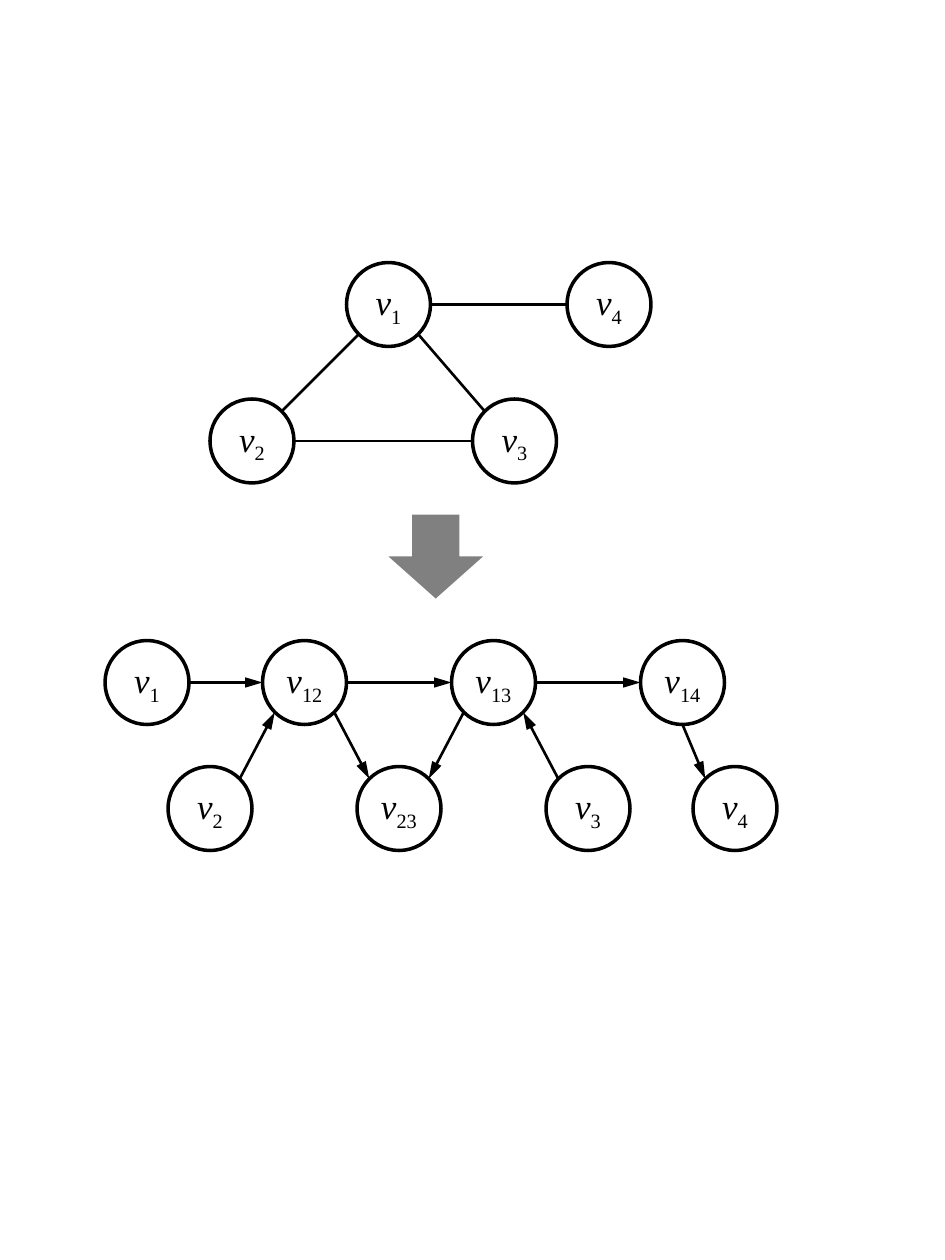
from math import cos, pi, sin

from pptx import Presentation
from pptx.dml.color import RGBColor
from pptx.enum.shapes import MSO_CONNECTOR as Link, MSO_SHAPE as Shape
from pptx.enum.text import MSO_ANCHOR as Anchor, PP_ALIGN as Align
from pptx.oxml.ns import qn
from pptx.util import Inches, Pt
from lxml.etree import SubElement

# Places and sizes count steps of a grid with twelve steps to the inch
# Each node: subscript -> left, top
GRAPH = {"1": (33, 25), "2": (20, 38), "3": (45, 38), "4": (54, 25)}
UPPER, LOWER = 61, 73
ORDER = {
    "1": (10, UPPER), "12": (25, UPPER), "13": (43, UPPER), "14": (61, UPPER),
    "2": (16, LOWER), "23": (34, LOWER), "3": (52, LOWER), "4": (66, LOWER),
}
SIZE = 8
STEP = (37, 49, 9, 8)
# Ellipse sites, counted from the top and turning left
TOP, TOP_L, LEFT, LOW_L, LOW, LOW_R, RIGHT, TOP_R = range(8)
# Each edge: start node, start site, end node, end site
EDGES = [
    ("1", LOW_L, "2", TOP_R), ("1", LOW_R, "3", TOP_L),
    ("2", RIGHT, "3", LEFT), ("1", RIGHT, "4", LEFT),
]
ARROWS = [
    ("1", RIGHT, "12", LEFT), ("12", RIGHT, "13", LEFT), ("13", RIGHT, "14", LEFT),
    ("2", TOP_R, "12", LOW_L), ("12", LOW_R, "23", TOP_L),
    ("13", LOW_L, "23", TOP_R), ("3", TOP_L, "13", LOW_R), ("14", LOW, "4", TOP_L),
]
THEME = {
    "font": "Times New Roman", "text": Pt(20), "sub": "-25000",
    "ink": RGBColor(0, 0, 0), "gray": RGBColor(128, 128, 128),
    "ring": Pt(2), "edge": Pt(1.5),
}


def add_form(slide, kind, *box):
    """Add a plain preset shape on the grid."""
    form = slide.shapes.add_shape(kind, *[Inches(step / 12) for step in box])
    form.shadow.inherit = False
    return form


def add_node(slide, sub, left, top):
    """Draw a ring labelled v with a subscript."""
    node = add_form(slide, Shape.OVAL, left, top, SIZE, SIZE)
    node.fill.background()
    node.line.color.rgb = THEME["ink"]
    node.line.width = THEME["ring"]
    frame = node.text_frame
    frame.word_wrap = False
    frame.vertical_anchor = Anchor.MIDDLE
    para = frame.paragraphs[0]
    para.alignment = Align.CENTER
    for text in ("v", sub):
        run = para.add_run()
        run.text = text
        run.font.name = THEME["font"]
        run.font.size = THEME["text"]
        run.font.color.rgb = THEME["ink"]
        run.font.italic = text == "v"
    node.element.findall(".//" + qn("a:rPr"))[1].set("baseline", THEME["sub"])
    return node


def site_point(node, site):
    """Return the place of a site on the rim of a node."""
    turn = site * pi / 4
    half = node.width / 2
    return (round(node.left + half * (1 - sin(turn))),
            round(node.top + half * (1 - cos(turn))))


def add_edge(slide, start, end, arrow):
    """Join two (node, site) pairs, with an arrowhead at the end if asked."""
    edge = slide.shapes.add_connector(
        Link.STRAIGHT, *site_point(*start), *site_point(*end))
    edge.line.color.rgb = THEME["ink"]
    edge.line.width = THEME["edge"]
    glue = edge.element.find(".//" + qn("p:cNvCxnSpPr"))
    for tag, (node, site) in (("a:stCxn", start), ("a:endCxn", end)):
        SubElement(glue, qn(tag), id=str(node.shape_id), idx=str(site))
    if arrow:
        line = edge.element.find(".//" + qn("a:ln"))
        SubElement(line, qn("a:tailEnd"), type="triangle", w="med", len="lg")
    SubElement(edge.element.find(qn("p:spPr")), qn("a:effectLst"))


def add_graph(slide, places, edges, arrow):
    """Draw all nodes of a graph, then its edges."""
    nodes = {sub: add_node(slide, sub, *place) for sub, place in places.items()}
    for start, leave, end, enter in edges:
        add_edge(slide, (nodes[start], leave), (nodes[end], enter), arrow)


def add_step(slide):
    """Draw the block arrow between the two graphs."""
    step = add_form(slide, Shape.DOWN_ARROW, *STEP)
    step.fill.solid()
    step.fill.fore_color.rgb = THEME["gray"]
    step.line.fill.background()


deck = Presentation()
deck.slide_width, deck.slide_height = Inches(7.5), Inches(10)
slide = deck.slides.add_slide(deck.slide_layouts[6])
add_graph(slide, GRAPH, EDGES, False)
add_step(slide)
add_graph(slide, ORDER, ARROWS, True)
deck.save("out.pptx")
